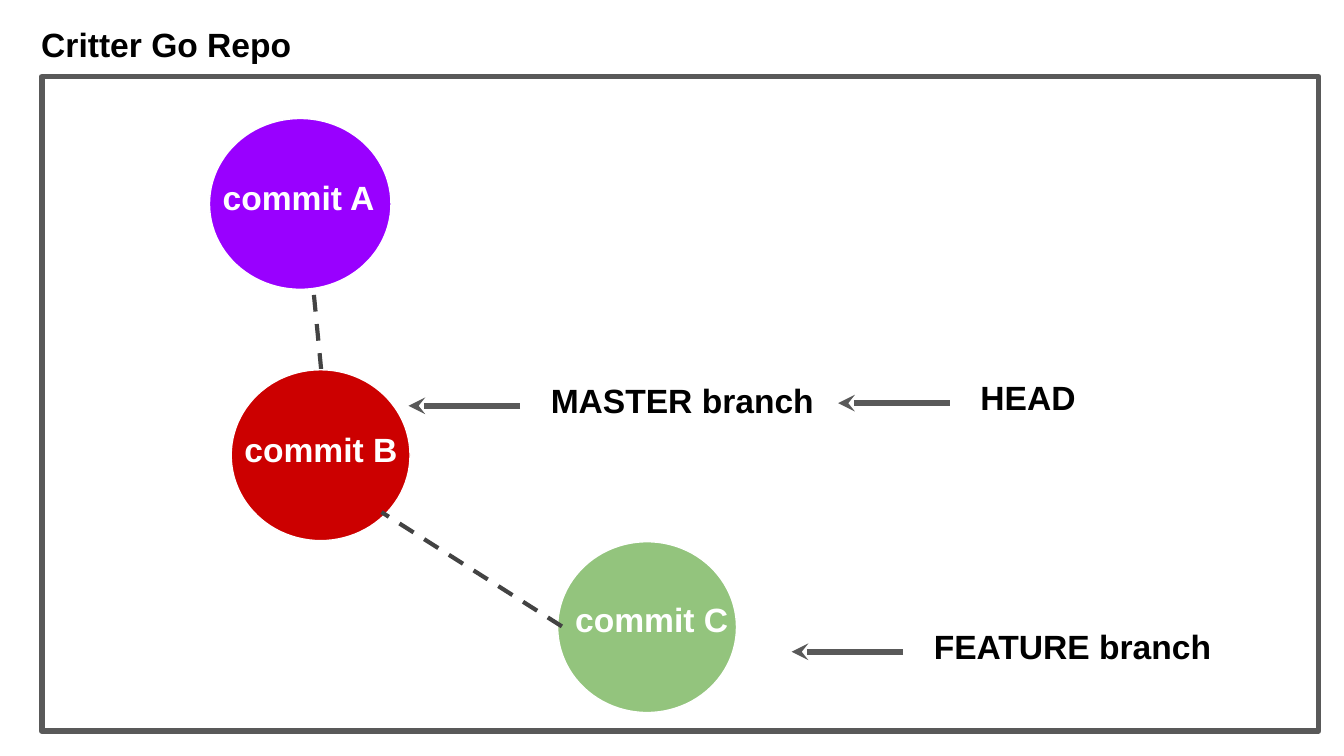
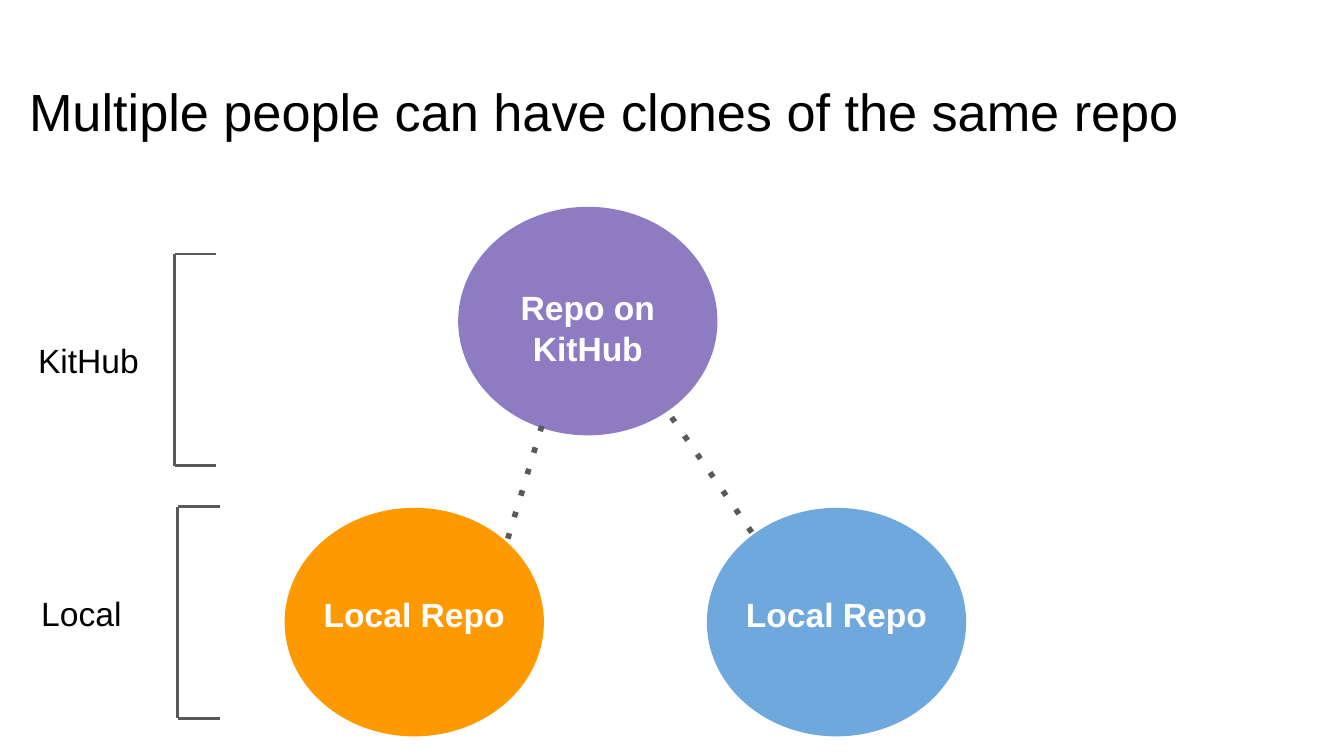
"""Build two slides on commits, branches and clones of a repo."""
from lxml.etree import SubElement
from pptx import Presentation
from pptx.dml.color import RGBColor
from pptx.enum.shapes import MSO_CONNECTOR, MSO_SHAPE
from pptx.enum.text import PP_ALIGN
from pptx.oxml.ns import qn
from pptx.util import Cm, Pt

BLACK = RGBColor(0x00, 0x00, 0x00)
WHITE = RGBColor(0xFF, 0xFF, 0xFF)
GREY = RGBColor(0x59, 0x59, 0x59)
CHARCOAL = RGBColor(0x43, 0x43, 0x43)
VIOLET = RGBColor(0x99, 0x00, 0xFF)
RED = RGBColor(0xCC, 0x00, 0x00)
GREEN = RGBColor(0x93, 0xC4, 0x7D)
PURPLE = RGBColor(0x8E, 0x7C, 0xC3)
ORANGE = RGBColor(0xFF, 0x99, 0x00)
BLUE = RGBColor(0x6F, 0xA8, 0xDC)


def add_text(slide, text, left, top, width, height,
             size=18, colour=BLACK, bold=False, align=PP_ALIGN.LEFT):
    frame = slide.shapes.add_textbox(Cm(left), Cm(top), Cm(width), Cm(height)).text_frame
    frame.word_wrap = align == PP_ALIGN.CENTER
    frame.margin_left = frame.margin_right = Cm(0.25)
    frame.margin_top = frame.margin_bottom = Cm(0.25)
    paragraph = frame.paragraphs[0]
    paragraph.text = text
    paragraph.alignment = align
    paragraph.font.name = "Arial"
    paragraph.font.size = Pt(size)
    paragraph.font.bold = bold
    paragraph.font.color.rgb = colour


def add_line(slide, x1, y1, x2, y2, width, colour=GREY, dash=None, arrow=False):
    line = slide.shapes.add_connector(MSO_CONNECTOR.STRAIGHT, Cm(x1), Cm(y1), Cm(x2), Cm(y2))
    line.line.color.rgb = colour
    line.line.width = Pt(width)
    outline = line.line._get_or_add_ln()
    if dash:
        SubElement(outline, qn("a:prstDash")).set("val", dash)
    if arrow:
        SubElement(outline, qn("a:tailEnd")).set("type", "stealth")
    SubElement(line._element.spPr, qn("a:effectLst"))


deck = Presentation()
deck.slide_width, deck.slide_height = Cm(25.4), Cm(14.29)
history = deck.slides.add_slide(deck.slide_layouts[6])
clones = deck.slides.add_slide(deck.slide_layouts[6])

repo_border = history.shapes.add_shape(MSO_SHAPE.RECTANGLE, Cm(0.79), Cm(1.45), Cm(24.13), Cm(12.37))
repo_border.shadow.inherit = False
repo_border.fill.solid()
repo_border.fill.fore_color.rgb = WHITE
repo_border.line.color.rgb = GREY
repo_border.line.width = Pt(3)
add_text(history, "Critter Go Repo", 0.53, 0.2, 8.48, 1.52, bold=True)
add_text(clones, "Multiple people can have clones of the same repo", 0.3, 1.24, 25.1, 1.6, size=28)

add_line(history, 6.07, 6.99, 5.84, 4.62, 2.25, CHARCOAL, "dash")
add_line(clones, 12.45, 7.54, 14.4, 10.34, 3, dash="dot")

COMMIT_LABEL = (3.7, 1.52, PP_ALIGN.LEFT)
REPO_LABEL = (4.9, 2.41, PP_ALIGN.CENTER)
circles = [
    (history, "commit B", RED, 4.37, 6.99, 3.38, 3.23, 0, 0.86, COMMIT_LABEL),
    (history, "commit A", VIOLET, 3.96, 2.24, 3.43, 3.23, 0, 0.86, COMMIT_LABEL),
    (history, "commit C", GREEN, 10.54, 10.24, 3.38, 3.23, 0.08, 0.84, COMMIT_LABEL),
    (clones, "Repo on KitHub", PURPLE, 8.66, 3.91, 4.9, 4.32, 0, 1.27, REPO_LABEL),
    (clones, "Local Repo", ORANGE, 5.38, 9.6, 4.9, 4.32, 0, 1.37, REPO_LABEL),
    (clones, "Local Repo", BLUE, 13.36, 9.6, 4.9, 4.32, 0, 1.37, REPO_LABEL),
]
for slide, label, colour, left, top, width, height, dx, dy, label_box in circles:
    circle = slide.shapes.add_shape(MSO_SHAPE.OVAL, Cm(left), Cm(top), Cm(width), Cm(height))
    circle.shadow.inherit = False
    circle.fill.solid()
    circle.fill.fore_color.rgb = colour
    if slide is history:
        circle.line.color.rgb = WHITE
        circle.line.width = Pt(0.75)
    else:
        circle.line.fill.background()
    label_width, label_height, align = label_box
    add_text(slide, label, left + dx, top + dy, label_width, label_height,
             colour=WHITE, bold=True, align=align)

add_line(history, 10.62, 11.84, 7.21, 9.68, 2.25, CHARCOAL, "dash")
add_line(clones, 10.24, 8.05, 9.58, 10.24, 3, dash="dot")

for pointer, x, y in [("MASTER branch", 9.83, 7.67), ("HEAD", 17.95, 7.62),
                      ("FEATURE branch", 17.07, 12.32)]:
    add_line(history, x, y, x - 2.11, y, 3, arrow=True)
    add_text(history, pointer, x + 0.33, y - 0.74, 5.92, 1.52, bold=True)

for place, x, top in [("KitHub", 3.3, 4.8), ("Local", 3.36, 9.58)]:
    bottom = top + 4
    add_text(clones, place, x - 2.83, top + 1.37, 2.49, 1.6)
    add_line(clones, x, top, x, bottom, 1.5)
    for y in (top, bottom):
        add_line(clones, x, y, x + 0.79, y, 1.5)

deck.save("out.pptx")
